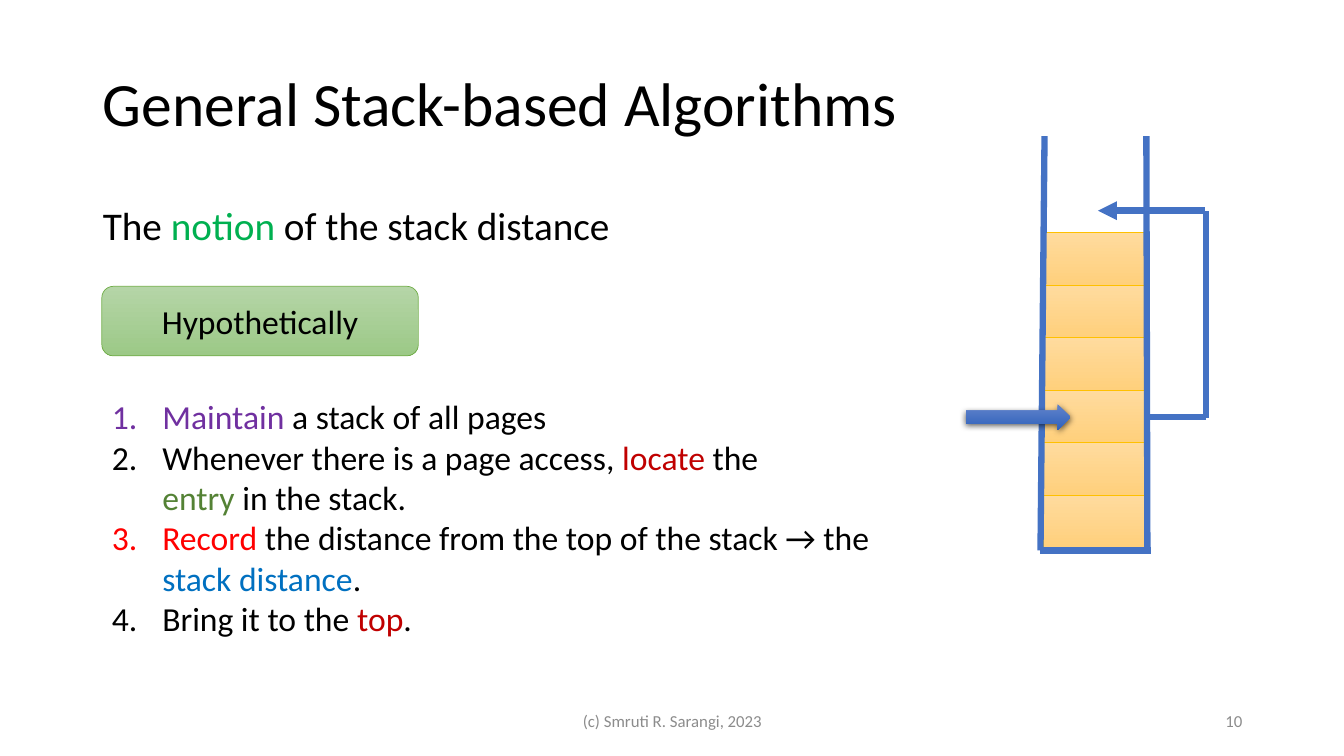
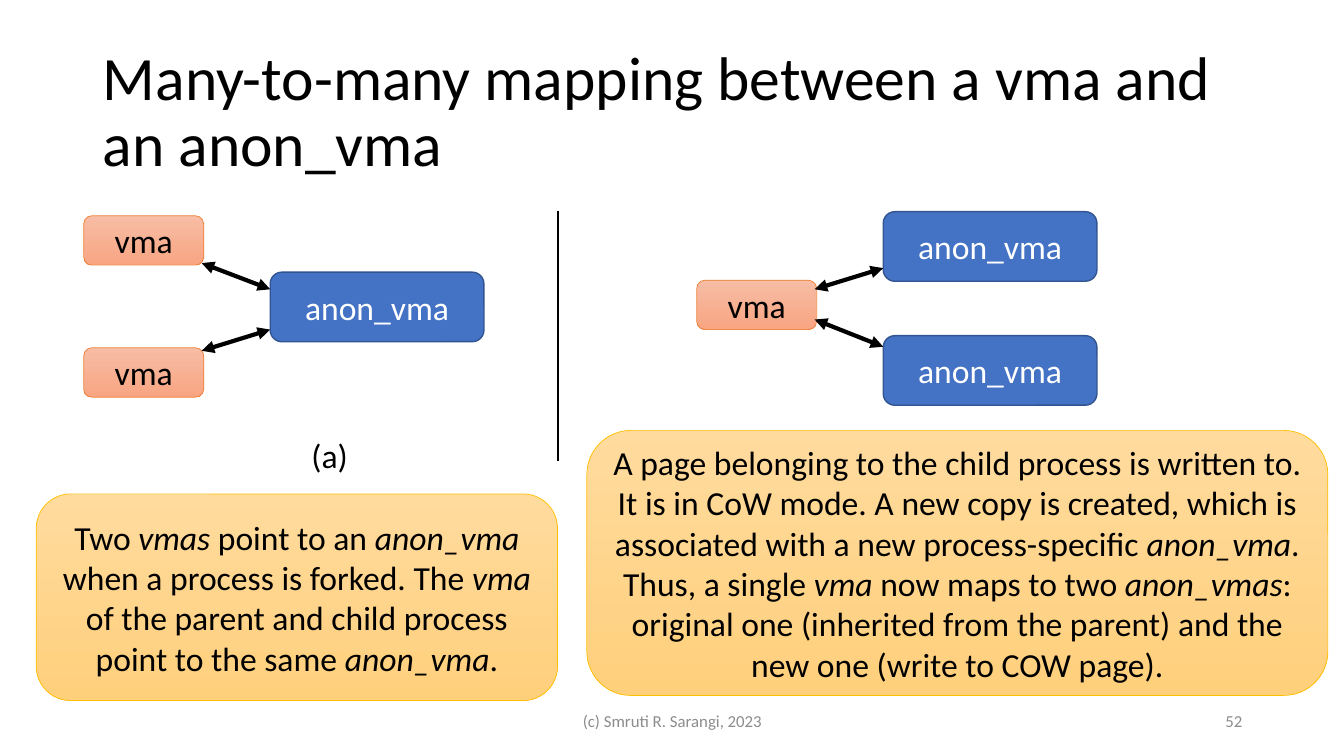
from dataclasses import dataclass

from lxml import etree
from pptx import Presentation
from pptx import util as u
from pptx.dml.color import RGBColor
from pptx.enum import shapes, text
from pptx.oxml.ns import qn

ALIGN = text.PP_ALIGN
ANCHOR = text.MSO_ANCHOR
SHAPE = shapes.MSO_SHAPE


@dataclass(frozen=True)
class Theme:
    font: str = "Calibri"
    title: int = 44
    lead: int = 28
    body: int = 24
    small: int = 12
    black: str = "000000"
    white: str = "FFFFFF"
    grey: str = "8C8C8C"
    blue: str = "4472C4"
    navy: str = "325491"
    purple: str = "7030A0"
    crimson: str = "C00000"
    red: str = "FF0000"
    sky: str = "0070C0"
    green: str = "00B050"
    olive: str = "548235"
    amber_fill: tuple = ("FFDB9E", "FFD07C")
    amber_line: str = "FFC000"
    green_fill: tuple = ("B5D5A7", "9CC987")
    green_line: str = "70AD47"
    orange_fill: tuple = ("F7BDA5", "F8A582")
    orange_line: str = "ED7D31"
    blue_fill: tuple = ("6183CB", "3062BB")


T = Theme()


def rgb(value):
    return RGBColor.from_string(value)


def add_xml(parent, tag, **attrs):
    return etree.SubElement(parent, qn(tag), attrs)


class Deck:
    def __init__(self, theme):
        self.t = theme
        self.prs = Presentation()
        self.prs.slide_width = u.Inches(13.33)
        self.prs.slide_height = u.Inches(7.5)
        self.slide = None

    def new_slide(self, layout, title, number, top):
        self.slide = self.prs.slides.add_slide(self.prs.slide_layouts[layout])
        self.placeholder(0, (0.92, top, 11.5, 1.45), [[title]], self.t.title,
                         anchor=ANCHOR.MIDDLE, spacing=0.9)
        for box, label, align in (
            ((4.42, 6.95, 4.5, 0.4), "(c) Smruti R. Sarangi, 2023", ALIGN.CENTER),
            ((9.42, 6.95, 3, 0.4), number, ALIGN.RIGHT),
        ):
            self.label(box, label, self.t.small, self.t.grey, align, ANCHOR.MIDDLE)

    def set_text(self, tf, paragraphs, size, color=None, align=ALIGN.LEFT,
                 spacing=1.0, numbered=False):
        for i, pieces in enumerate(paragraphs):
            p = tf.add_paragraph() if i else tf.paragraphs[0]
            pPr = p._p.get_or_add_pPr()
            indent = u.Inches(0.5) if numbered else 0
            pPr.set("marL", str(indent))
            pPr.set("indent", str(-indent))
            if numbered:
                add_xml(pPr, "a:buAutoNum", type="arabicPeriod")
            else:
                add_xml(pPr, "a:buNone")
            p.alignment = align
            p.line_spacing = spacing
            p.space_before = u.Pt(0)
            p.font.name = self.t.font
            p.font.size = u.Pt(size)
            p.font.color.rgb = rgb(color or self.t.black)
            for piece in pieces:
                self.add_piece(p, piece)

    def add_piece(self, p, piece):
        if piece == "\n":
            p.add_line_break()
            return
        words, style = (piece, None) if isinstance(piece, str) else piece
        r = p.add_run()
        r.text = words
        if style == "italic":
            r.font.italic = True
        elif style:
            r.font.color.rgb = rgb(style)

    def placeholder(self, idx, box, paragraphs, size, anchor=ANCHOR.TOP, **style):
        sp = self.slide.placeholders[idx]
        sp.left, sp.top, sp.width, sp.height = map(u.Inches, box)
        tf = sp.text_frame
        tf.auto_size = text.MSO_AUTO_SIZE.NONE
        tf.vertical_anchor = anchor
        self.set_text(tf, paragraphs, size, **style)

    def label(self, box, words, size, color, align=ALIGN.LEFT, anchor=ANCHOR.TOP):
        tf = self.slide.shapes.add_textbox(*map(u.Inches, box)).text_frame
        tf.word_wrap = True
        tf.vertical_anchor = anchor
        self.set_text(tf, [[words]], size, color, align)

    def shape(self, kind, box, fill, line=None, width=0.5, pieces=None, color=None):
        sp = self.slide.shapes.add_shape(kind, *map(u.Inches, box))
        sp.shadow.inherit = False
        if isinstance(fill, tuple):
            sp.fill.gradient()
            sp.fill.gradient_angle = 270
            for stop, value in zip(sp.fill.gradient_stops, fill):
                stop.color.rgb = rgb(value)
        else:
            sp.fill.solid()
            sp.fill.fore_color.rgb = rgb(fill)
        if line:
            sp.line.color.rgb = rgb(line)
            sp.line.width = u.Pt(width)
        else:
            sp.line.fill.background()
        if pieces:
            sp.text_frame.vertical_anchor = ANCHOR.MIDDLE
            self.set_text(sp.text_frame, [pieces], self.t.body, color, ALIGN.CENTER)
        return sp

    def drop_shadow(self, sp):
        effects = sp.element.spPr.find(qn("a:effectLst"))
        shadow = add_xml(effects, "a:outerShdw", blurRad=str(u.Pt(4.5)),
                         dist=str(u.Pt(1.5)), dir="5400000", rotWithShape="0")
        add_xml(add_xml(shadow, "a:srgbClr", val=self.t.black), "a:alpha", val="63000")

    def line(self, start, end, color, width, heads=()):
        cx = self.slide.shapes.add_connector(
            shapes.MSO_CONNECTOR.STRAIGHT, *map(u.Inches, start + end))
        cx.line.color.rgb = rgb(color)
        cx.line.width = u.Pt(width)
        spPr = cx.element.spPr
        for head in heads:
            add_xml(spPr.find(qn("a:ln")), head, type="triangle")
        add_xml(spPr, "a:effectLst")

    def vma(self, x, y):
        self.shape(SHAPE.ROUNDED_RECTANGLE, (x, y, 1.19, 0.49), self.t.orange_fill,
                   self.t.orange_line, pieces=["vma"])

    def anon_vma(self, x, y):
        self.shape(SHAPE.ROUNDED_RECTANGLE, (x, y, 2.12, 0.69), self.t.blue,
                   self.t.navy, 1, ["anon_vma"], self.t.white)

    def note(self, box, pieces):
        self.shape(SHAPE.ROUNDED_RECTANGLE, box, self.t.amber_fill,
                   self.t.amber_line, pieces=pieces)


def stack_slide(deck):
    deck.new_slide(3, "General Stack-based Algorithms", "10", 0.33)
    deck.placeholder(1, (0.92, 2, 8, 0.69),
                     [["The ", ("notion", T.green), " of the stack distance"]],
                     T.lead, spacing=0.9)
    deck.placeholder(2, (1.01, 3.88, 8.25, 2.52), [
        [("Maintain", T.purple), " a stack of all pages"],
        ["Whenever there is a page access, ", ("locate", T.crimson), " the", "\n",
         ("entry", T.olive), " in the stack."],
        [("Record", T.red), " the distance from the top of the stack → the ",
         ("stack distance", T.sky), "."],
        ["Bring it to the ", ("top", T.crimson), "."],
    ], T.body, numbered=True)
    deck.shape(SHAPE.ROUNDED_RECTANGLE, (1.01, 2.84, 3.14, 0.69), T.green_fill,
               T.green_line, pieces=["Hypothetically"])

    cell_height = 0.52
    for i in range(6):
        deck.shape(SHAPE.RECTANGLE, (10.35, 2.31 + i * cell_height, 1.02, cell_height),
                   T.amber_fill, T.amber_line)
    for start, end in (
        ((10.32, 5.46), (11.42, 5.46)),
        ((11.37, 1.35), (11.38, 5.46)),
        ((10.36, 1.35), (10.32, 5.46)),
        ((11.38, 4.14), (11.96, 4.14)),
        ((11.96, 4.15), (11.96, 2.09)),
    ):
        deck.line(start, end, T.blue, 4.5)
    deck.line((10.89, 2.09), (11.95, 2.09), T.blue, 4.5, ["a:headEnd"])
    pointer = deck.shape(SHAPE.RIGHT_ARROW, (9.58, 4.01, 1.04, 0.26), T.blue_fill)
    deck.drop_shadow(pointer)


def mapping_slide(deck):
    deck.new_slide(5, "Many-to-many mapping between a vma and an anon_vma", "52", 0.4)
    for x, y in ((0.83, 2.14), (0.83, 3.45), (6.91, 2.78)):
        deck.vma(x, y)
    for x, y in ((2.68, 2.7), (8.76, 2.1), (8.76, 3.33)):
        deck.anon_vma(x, y)
    for x, y_vma, y_anon in ((2, 3.48, 3.27), (2, 2.61, 2.87),
                             (8.08, 3.17, 3.44), (8.08, 2.87, 2.66)):
        deck.line((x, y_vma), (x + 0.68, y_anon), T.black, 3,
                  ["a:headEnd", "a:tailEnd"])
    deck.line((5.53, 2.09), (5.53, 4.57), T.black, 1.5)
    deck.label((2.99, 4.27, 0.59, 0.5), "(a)", T.body, T.black)
    deck.note((0.36, 4.9, 5.17, 2.05), [
        "Two ", ("vmas", "italic"), " point to an ", ("anon_vma ", "italic"),
        "when a process is forked. The ", ("vma", "italic"),
        " of the parent and child process point to the same ",
        ("anon_vma", "italic"), "."])
    deck.note((5.82, 4.27, 7.35, 2.63), [
        "A page belonging to the child process is written to. It is in CoW mode. "
        "A new copy is created, which is associated with a new process-specific ",
        ("anon_vma", "italic"), ". Thus, a single ", ("vma", "italic"),
        " now maps to two ", ("anon_vmas", "italic"),
        ": original one (inherited from the parent) and the new one "
        "(write to COW page)."])


def main():
    deck = Deck(T)
    stack_slide(deck)
    mapping_slide(deck)
    deck.prs.save("out.pptx")


if __name__ == "__main__":
    main()
